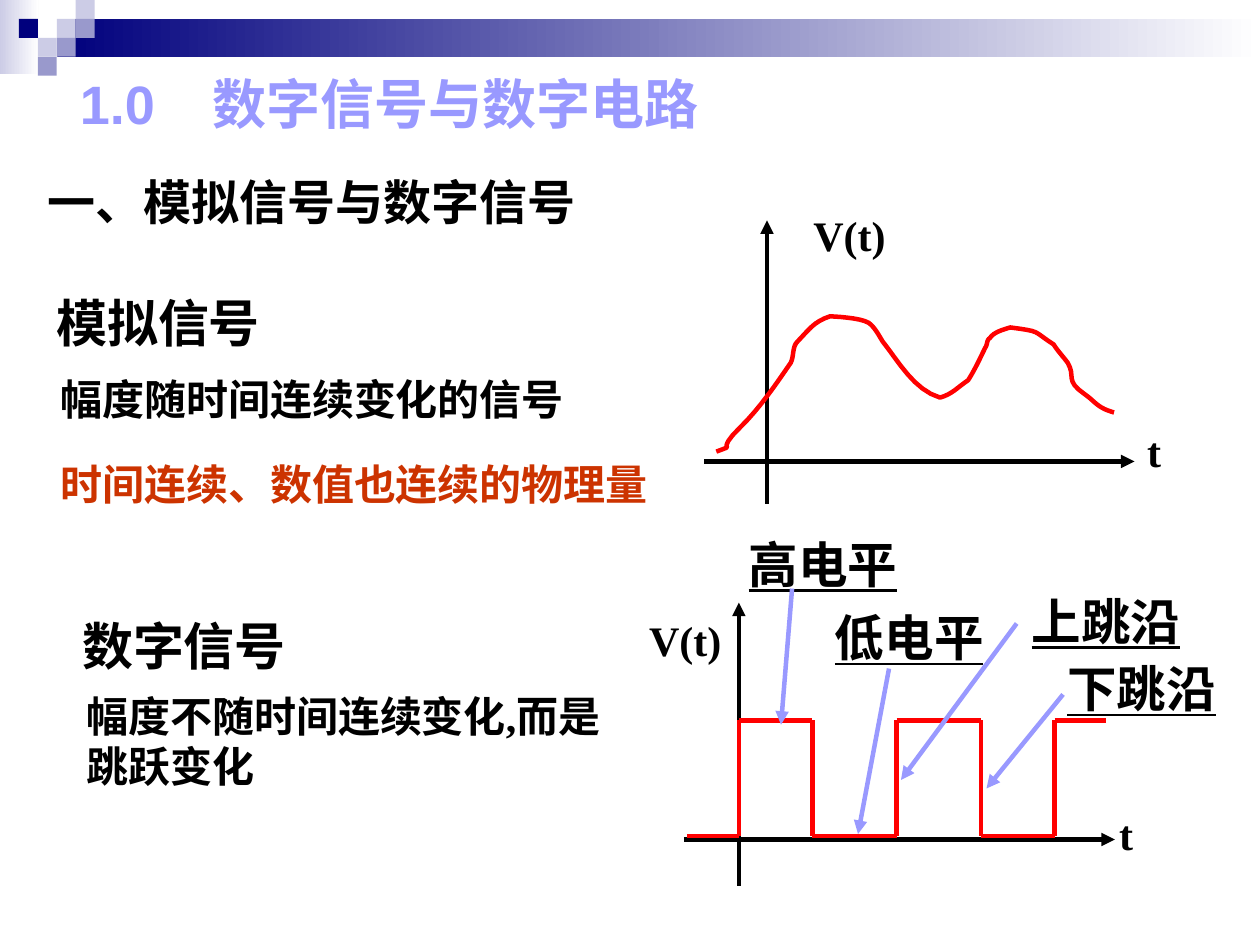
from itertools import pairwise

from lxml.etree import SubElement
from pptx import Presentation
from pptx.dml.color import RGBColor
from pptx.enum.shapes import MSO_CONNECTOR, MSO_SHAPE
from pptx.enum.text import MSO_ANCHOR
from pptx.oxml.ns import qn
from pptx.util import Cm, Pt

BLACK = RGBColor(0x00, 0x00, 0x00)
WHITE = RGBColor(0xFF, 0xFF, 0xFF)
RED = RGBColor(0xFF, 0x00, 0x00)
RUST = RGBColor(0xCC, 0x33, 0x00)
LILAC = RGBColor(0x99, 0x99, 0xFF)
NAVY = RGBColor(0x00, 0x00, 0x7D)
PALE = RGBColor(0xCC, 0xCC, 0xE6)
MID = RGBColor(0x99, 0x99, 0xCC)

SERIF = "Times New Roman"
SANS = "Arial"
SLIDE_WIDTH = 29.62
TILE = 0.445
LINE_WIDTH = Pt(3)

# Column, row and colour of each tile in the header mosaic
TILES = [(3, 1, PALE), (4, 0, PALE), (4, 1, MID), (2, 2, PALE),
         (1, 1, NAVY), (3, 2, MID), (2, 3, MID)]

ANALOG_START = (16.84, 10.62)
# Two control points and the end point of each Bézier segment
ANALOG_SEGMENTS = [
    ((17.4, 10.41), (16.74, 10.69), (17.42, 10.03)),
    ((17.86, 9.6), (18.24, 9.04), (18.59, 8.53)),
    ((18.67, 8.38), (18.62, 8.15), (18.75, 8.03)),
    ((19.05, 7.72), (19.13, 7.57), (19.51, 7.44)),
    ((19.58, 7.44), (20.22, 7.47), (20.42, 7.59)),
    ((20.57, 7.7), (20.65, 7.87), (20.75, 8.03)),
    ((21.13, 8.51), (21.49, 9.17), (22.1, 9.35)),
    ((22.38, 9.27), (22.5, 9.12), (22.76, 8.94)),
    ((22.91, 8.71), (23.04, 8.43), (23.16, 8.18)),
    ((23.22, 8.1), (23.19, 8), (23.27, 7.95)),
    ((23.37, 7.8), (23.6, 7.75), (23.75, 7.7)),
    ((24.49, 7.8), (24.26, 7.77), (24.77, 8.1)),
    ((24.87, 8.26), (24.99, 8.38), (25.1, 8.53)),
    ((25.3, 8.86), (25.02, 8.94), (25.5, 9.27)),
    ((25.65, 9.37), (25.78, 9.53), (25.93, 9.6)),
    ((26.01, 9.65), (26.19, 9.7), (26.19, 9.7)),
]

LOW, HIGH = 19.66, 16.94
WAVE_START, WAVE_END = 16.15, 26.01
EDGES = [17.37, 19.1, 21.08, 23.06, 24.79]

# Label, its box (left, top, width), arrow start and arrow tip
CALLOUTS = [
    ("高电平", (17.3, 12.4, 4.7), (18.62, 13.84), (18.36, 17.04)),
    ("低电平", (19.33, 14.12, 4.3), (20.9, 15.72), (20.17, 19.61)),
    ("上跳沿", (23.95, 13.74, 4.2), (23.9, 14.66), (21.18, 18.34)),
    ("下跳沿", (24.79, 15.32, 4.45), (24.99, 16.33), (23.19, 18.54)),
]


def add_text(slide, text, box, size, color=BLACK, font=SERIF, height=1.5,
             underline=None, tab=None, anchor=MSO_ANCHOR.TOP):
    left, top, width = box
    frame = slide.shapes.add_textbox(Cm(left), Cm(top), Cm(width), Cm(height)).text_frame
    frame.word_wrap = True
    frame.vertical_anchor = anchor
    frame.margin_left = frame.margin_right = Cm(0.3)
    frame.margin_top = frame.margin_bottom = Cm(0.15)
    paragraph = frame.paragraphs[0]
    paragraph.text = text
    if tab:
        stops = SubElement(paragraph._p.get_or_add_pPr(), qn("a:tabLst"))
        SubElement(stops, qn("a:tab"), pos=str(Cm(tab)), algn="l")
    paragraph.font.name = font
    paragraph.font.size = Pt(size)
    paragraph.font.bold = True
    paragraph.font.underline = underline
    paragraph.font.color.rgb = color


def add_line(slide, start, end, color, arrow=False):
    line = slide.shapes.add_connector(
        MSO_CONNECTOR.STRAIGHT, *(Cm(value) for value in (*start, *end)))
    line.line.color.rgb = color
    line.line.width = LINE_WIDTH
    properties = line._element.spPr
    if arrow:
        SubElement(properties.find(qn("a:ln")), qn("a:tailEnd"), type="triangle")
    SubElement(properties, qn("a:effectLst"))


def add_block(slide, left, top, width, height, color, fade=False):
    """Add a borderless rectangle, plain or fading to white on the right."""
    block = slide.shapes.add_shape(
        MSO_SHAPE.RECTANGLE, Cm(left), Cm(top), Cm(width), Cm(height))
    block.shadow.inherit = False
    block.line.fill.background()
    if fade:
        block.fill.gradient()
        block.fill.gradient_angle = 0
        for stop, shade in zip(block.fill.gradient_stops, (color, WHITE)):
            stop.color.rgb = shade
    else:
        block.fill.solid()
        block.fill.fore_color.rgb = color


def add_header(slide):
    add_block(slide, 0, 0, 0.91, 1.74, PALE, fade=True)
    add_block(slide, 1.35, TILE, SLIDE_WIDTH - 1.35, 0.89, NAVY, fade=True)
    for column, row, color in TILES:
        add_block(slide, column * TILE, row * TILE, TILE, TILE, color)


def add_axes(slide, horizontal, vertical, time_box, voltage_box):
    for start, end in (horizontal, vertical):
        add_line(slide, start, end, BLACK, arrow=True)
    add_text(slide, "t", time_box, 28)
    add_text(slide, "V(t)", voltage_box, 28)


def bezier_points(start, segments, steps=8):
    """Yield the points that follow start along joined cubic curves."""
    for first, second, end in segments:
        for step in range(1, steps + 1):
            t = step / steps
            weights = ((1 - t) ** 3, 3 * t * (1 - t) ** 2, 3 * t ** 2 * (1 - t), t ** 3)
            yield tuple(sum(w * value for w, value in zip(weights, values))
                        for values in zip(start, first, second, end))
        start = end


def add_analog_curve(slide):
    builder = slide.shapes.build_freeform(*(Cm(value) for value in ANALOG_START))
    points = bezier_points(ANALOG_START, ANALOG_SEGMENTS)
    builder.add_line_segments([(Cm(x), Cm(y)) for x, y in points], close=False)
    curve = builder.convert_to_shape()
    curve.shadow.inherit = False
    curve.fill.background()
    curve.line.color.rgb = RED
    curve.line.width = LINE_WIDTH


def add_square_wave(slide):
    corners = [(WAVE_START, LOW)]
    level, other = LOW, HIGH
    for edge in EDGES:
        corners += [(edge, level), (edge, other)]
        level, other = other, level
    corners.append((WAVE_END, level))
    for start, end in pairwise(corners):
        add_line(slide, start, end, RED)


def main():
    presentation = Presentation()
    presentation.slide_width = Cm(SLIDE_WIDTH)
    presentation.slide_height = Cm(22.22)
    slide = presentation.slides.add_slide(presentation.slide_layouts[6])

    add_header(slide)
    add_text(slide, "1.0\t数字信号与数字电路", (1.58, 1.5, 16), 36, LILAC, SANS,
             height=1.78, tab=3.12)
    add_text(slide, "一、模拟信号与数字信号", (0.81, 3.91, 18.95), 32, height=1.65)

    add_text(slide, "模拟信号", (1.02, 6.5, 14.07), 34, font=SANS, height=2.13,
             anchor=MSO_ANCHOR.MIDDLE)
    add_text(slide, "幅度随时间连续变化的信号", (1.12, 8.64, 13.06), 28)
    add_text(slide, "时间连续、数值也连续的物理量", (1.12, 10.62, 14.8), 28, RUST)
    add_axes(slide, ((16.56, 10.85), (26.67, 10.85)), ((18.03, 11.84), (18.03, 5.18)),
             (26.67, 9.86, 1.98), (18.82, 4.78, 3.25))
    add_analog_curve(slide)

    add_text(slide, "数字信号", (1.63, 14.3, 10.82), 34, height=1.73)
    add_text(slide, "幅度不随时间连续变化,而是跳跃变化", (1.73, 16.08, 13.36), 28, height=2.67)
    add_axes(slide, ((16.08, 19.74), (26.21, 19.74)), ((17.37, 20.83), (17.37, 14.17)),
             (26.01, 18.87, 1.98), (14.96, 14.3, 2.51))
    add_square_wave(slide)
    for label, box, start, tip in CALLOUTS:
        add_text(slide, label, box, 33, height=1.7, underline=True)
        add_line(slide, start, tip, LILAC, arrow=True)

    presentation.save("out.pptx")


if __name__ == "__main__":
    main()
